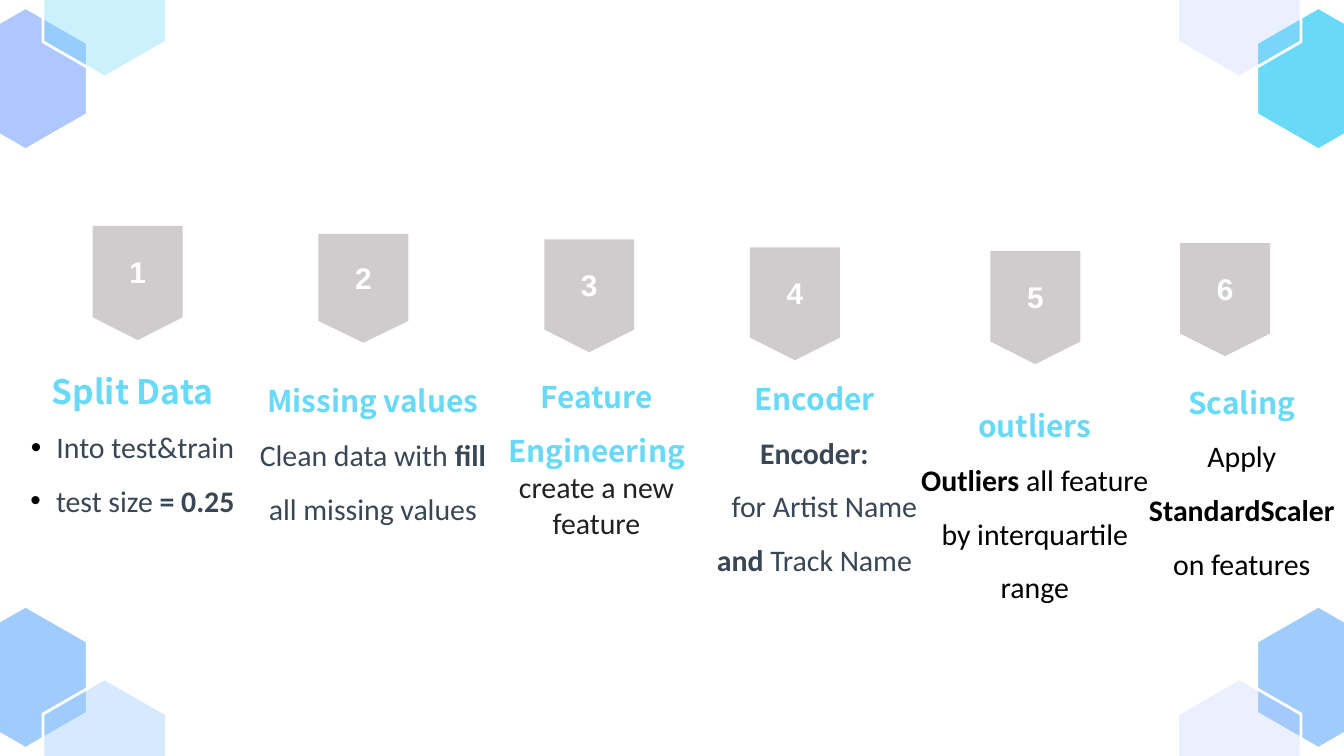
from lxml import etree
from pptx import Presentation
from pptx.dml.color import RGBColor
from pptx.enum import shapes, text
from pptx.oxml import ns
from pptx.util import Pt

WIDTH, HEIGHT = 720, 405
HEX_WIDTH, HEX_HEIGHT, HEX_SHOULDER = 66.2, 76.3, 19
SKY, SLATE, BLACK, CHARCOAL = "68DAF8", "384655", "000000", "212121"
TITLE_FONT, BODY_FONT, NUMBER_FONT = "Noto Sans CJK SC", "Calibri", "Arial"

# Badge left, top and height
BADGES = [
    (49.7, 121, 61.2),
    (170.6, 125.3, 58.3),
    (291.6, 128.2, 60.5),
    (401.8, 132.5, 60.5),
    (530.6, 134.6, 60.5),
    (632.2, 130.3, 60.5),
]

# Frame, title, title size, body colour, line spacing, bulleted,
# then body paragraphs as (left indent, [(text, bold), ...])
STEPS = [
    ((2.2, 188.6, 137.5, 88.6), "Split Data", 18, SLATE, 1.5, True, [
        (13.7, [("Into test&train", False)]),
        (13.7, [("test size", False), (" = 0.25", True)])]),
    ((134.6, 184.3, 130.3, 108.7), "Missing values", 16, SLATE, 1.5, False, [
        (0, [("Clean data with ", False), ("fill ", True), ("all missing values", False)])]),
    ((243.6, 167.8, 152, 147.4), "Feature Engineering", 16, CHARCOAL, 1, False, [
        (0, [("create a new", False)]),
        (0, [("feature", False)])]),
    ((365, 167.8, 142.6, 168), "Encoder", 16, SLATE, 1.5, False, [
        (0, [("Encoder:", True)]),
        (10.7, [("for Artist Name", False)]),
        (0, [("and", True), (" Track Name", False)])]),
    ((493.2, 195.1, 122.4, 142.6), "outliers", 16, BLACK, 1.5, False, [
        (0, [("Outliers ", True), ("all feature by interquartile", False)]),
        (0, [("range", False)])]),
    ((604.1, 195.1, 122.4, 117.4), "Scaling", 16, BLACK, 1.5, False, [
        (0, [("Apply ", False), ("StandardScaler", True)]),
        (0, [("on features", False)])]),
]


def color(value):
    return RGBColor.from_string(value)


def add_run(paragraph, wording, font, size, value, bold):
    run = paragraph.add_run()
    run.text = wording
    run.font.name = font
    run.font.size = Pt(size)
    run.font.bold = bold
    run.font.color.rgb = color(value)
    properties = run._r.get_or_add_rPr()
    etree.SubElement(properties, ns.qn("a:ea")).set("typeface", font)


def add_hexagon(slide, left, top, fill, opacity):
    right, middle, bottom = left + HEX_WIDTH, left + HEX_WIDTH / 2, top + HEX_HEIGHT
    upper, lower = top + HEX_SHOULDER, bottom - HEX_SHOULDER
    points = [(left, upper), (left, lower), (middle, bottom), (right, lower), (right, upper)]
    builder = slide.shapes.build_freeform(Pt(middle), Pt(top))
    builder.add_line_segments([(Pt(x), Pt(y)) for x, y in points], close=True)
    shape = builder.convert_to_shape()
    shape.shadow.inherit = False
    shape.fill.solid()
    shape.fill.fore_color.rgb = color(fill)
    if opacity < 100:
        solid = shape._element.spPr.find(ns.qn("a:solidFill"))
        etree.SubElement(solid[0], ns.qn("a:alpha")).set("val", str(opacity * 1000))
    shape.line.color.rgb = color("FFFFFF")
    shape.line.width = Pt(1.5)


def add_corner(slide, at_right, at_top, outer, inner):
    """Place a solid hexagon and a translucent one, mirrored into a corner."""
    for x, y, (fill, opacity) in ((-19.4, 324.7, outer), (23, 363.6, inner)):
        left = WIDTH - HEX_WIDTH - x if at_right else x
        top = HEIGHT - HEX_HEIGHT - y if at_top else y
        add_hexagon(slide, left, top, fill, opacity)


def add_badge(slide, number, left, top, height):
    shape = slide.shapes.add_shape(
        shapes.MSO_SHAPE.FLOWCHART_OFFPAGE_CONNECTOR, Pt(left), Pt(top), Pt(48.2), Pt(height))
    shape.shadow.inherit = False
    shape.fill.solid()
    shape.fill.fore_color.rgb = color("D0CCCD")
    shape.line.fill.background()
    shape.text_frame.vertical_anchor = text.MSO_ANCHOR.MIDDLE
    paragraph = shape.text_frame.paragraphs[0]
    paragraph.alignment = text.PP_ALIGN.CENTER
    add_run(paragraph, str(number), NUMBER_FONT, 16, "FFFFFF", True)


def indent(paragraph, left, bulleted):
    properties = paragraph._p.get_or_add_pPr()
    properties.set("marL", str(Pt(left)))
    if bulleted:
        properties.set("indent", str(-Pt(left)))
        bullet_color = etree.SubElement(properties, ns.qn("a:buClr"))
        etree.SubElement(bullet_color, ns.qn("a:srgbClr")).set("val", BLACK)
        etree.SubElement(properties, ns.qn("a:buFont")).set("typeface", "Arial")
        etree.SubElement(properties, ns.qn("a:buChar")).set("char", "•")


def add_step(slide, frame, title, title_size, body_color, spacing, bulleted, body):
    box = slide.shapes.add_textbox(*[Pt(length) for length in frame])
    text_frame = box.text_frame
    text_frame.word_wrap = True
    text_frame.vertical_anchor = text.MSO_ANCHOR.MIDDLE
    text_frame.margin_left = text_frame.margin_right = Pt(0)
    text_frame.margin_top = text_frame.margin_bottom = Pt(0)
    heading = text_frame.paragraphs[0]
    heading.alignment = text.PP_ALIGN.CENTER
    heading.line_spacing = 1.5
    add_run(heading, title, TITLE_FONT, title_size, SKY, True)
    for left, runs in body:
        paragraph = text_frame.add_paragraph()
        paragraph.alignment = text.PP_ALIGN.CENTER
        paragraph.line_spacing = spacing
        indent(paragraph, left, bulleted)
        for wording, bold in runs:
            add_run(paragraph, wording, BODY_FONT, 16, body_color, bold)


def main():
    presentation = Presentation()
    presentation.slide_width, presentation.slide_height = Pt(WIDTH), Pt(HEIGHT)
    slide = presentation.slides.add_slide(presentation.slide_layouts[6])

    # Corner hexagons
    add_corner(slide, False, False, ("9FCBFD", 100), ("9FCBFD", 41))
    add_corner(slide, True, False, ("9FCBFD", 100), ("AFC7FF", 25))
    add_corner(slide, False, True, ("AFC7FF", 100), (SKY, 34))
    add_corner(slide, True, True, (SKY, 100), ("AFC7FF", 25))

    # Numbered steps
    for number, (badge, step) in enumerate(zip(BADGES, STEPS), 1):
        add_badge(slide, number, *badge)
        add_step(slide, *step)

    presentation.save("out.pptx")


if __name__ == "__main__":
    main()
